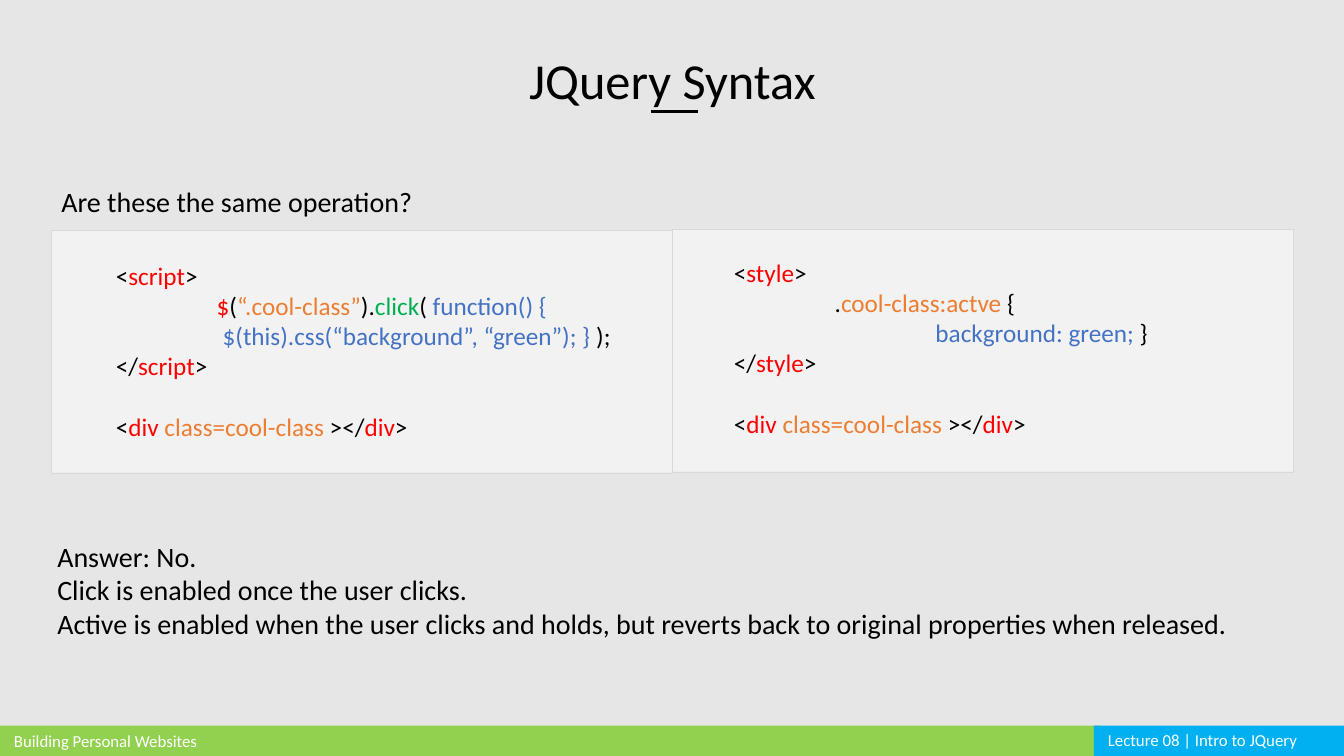
from pptx import Presentation
from pptx.dml.color import RGBColor
from pptx.enum.shapes import MSO_CONNECTOR, MSO_SHAPE
from pptx.enum.text import MSO_ANCHOR, MSO_AUTO_SIZE, PP_ALIGN
from pptx.oxml.ns import qn
from pptx.util import Inches, Pt
from lxml import etree

BACKGROUND = RGBColor(0xE7, 0xE6, 0xE6)
PANEL = RGBColor(0xF2, 0xF2, 0xF2)
PANEL_EDGE = RGBColor(0xD9, 0xD9, 0xD9)
LIME = RGBColor(0x92, 0xD0, 0x50)
SKY = RGBColor(0x00, 0xB0, 0xF0)
WHITE = RGBColor(0xFF, 0xFF, 0xFF)
BLACK = RGBColor(0x00, 0x00, 0x00)
RED = RGBColor(0xFF, 0x00, 0x00)
ORANGE = RGBColor(0xED, 0x7D, 0x31)
GREEN = RGBColor(0x00, 0xB0, 0x50)
BLUE = RGBColor(0x44, 0x72, 0xC4)
FONT = "Calibri"
BLANK_LINE = 22  # points, one line of code

# Each code line: indent in inches, space before in points, coloured runs
DIV_LINE = (0, BLANK_LINE, [("<", BLACK), ("div ", RED), ("class=cool-class ", ORANGE),
                            ("></", BLACK), ("div", RED), (">", BLACK)])


def tag_line(name, opening="<"):
    return 0, 0, [(opening, BLACK), (name, RED), (">", BLACK)]


SCRIPT_CODE = [
    tag_line("script"),
    (1, 0, [("$", RED), ("(", BLACK), ("“.cool-class”", ORANGE), (").", BLACK),
            ("click", GREEN), ("( ", BLACK), ("function() {", BLUE)]),
    (1.06, 0, [("$(this).css(“background”, “green”); } ", BLUE), (");", BLACK)]),
    tag_line("script", "</"),
    DIV_LINE,
]
STYLE_CODE = [
    tag_line("style"),
    (1, 0, [(".", BLACK), ("cool-class:actve ", ORANGE), ("{", BLACK)]),
    (2, 0, [("background: green; ", BLUE), ("}", BLACK)]),
    tag_line("style", "</"),
    DIV_LINE,
]


def set_font(font, size, color):
    font.name, font.size, font.color.rgb = FONT, Pt(size), color


def add_rect(s, x, y, w, h, fill, edge=None):
    sp = s.shapes.add_shape(MSO_SHAPE.RECTANGLE, Inches(x), Inches(y), Inches(w), Inches(h))
    sp.shadow.inherit = False
    sp.fill.solid()
    sp.fill.fore_color.rgb = fill
    if edge is None:
        sp.line.fill.background()
    else:
        sp.line.color.rgb = edge
        sp.line.width = Pt(0.25)


def add_box(s, x, y, w, h):
    tf = s.shapes.add_textbox(Inches(x), Inches(y), Inches(w), Inches(h)).text_frame
    tf.word_wrap = True
    return tf


def add_text(s, x, y, w, h, lines, size, color=BLACK):
    tf = add_box(s, x, y, w, h)
    tf.text = "\n".join(lines)
    for p in tf.paragraphs:
        set_font(p.font, size, color)


def add_title(s, x, y, w, h, text):
    title = s.shapes.title
    title.left, title.top, title.width, title.height = map(Inches, (x, y, w, h))
    tf = title.text_frame
    tf.text = text
    tf.vertical_anchor = MSO_ANCHOR.TOP
    tf.auto_size = MSO_AUTO_SIZE.NONE
    p = tf.paragraphs[0]
    p.alignment = PP_ALIGN.CENTER
    p.line_spacing = 1.5
    set_font(p.font, 36, BLACK)

    rule_x, rule_y = x + 2.48, y + 0.97
    rule = s.shapes.add_connector(MSO_CONNECTOR.STRAIGHT, Inches(rule_x), Inches(rule_y),
                                  Inches(rule_x + 0.46), Inches(rule_y))
    rule.line.color.rgb = BLACK
    rule.line.width = Pt(2.25)
    etree.SubElement(rule._element.spPr, qn("a:effectLst"))


def add_code_panel(s, x, y, w, h, inset_x, inset_y, code):
    add_rect(s, x, y, w, h, PANEL, PANEL_EDGE)
    tf = add_box(s, x + inset_x, y + inset_y, w - inset_x, 1.92)
    for i, (indent, before, runs) in enumerate(code):
        p = tf.add_paragraph() if i else tf.paragraphs[0]
        p.space_before = Pt(before)
        p._p.get_or_add_pPr().set("marL", str(Inches(indent)))
        for text, color in runs:
            r = p.add_run()
            r.text = text
            set_font(r.font, 18, color)


def add_footer_band(s, x, y, w, h, text, fill, text_y):
    add_rect(s, x, y, w, h, fill)
    add_text(s, x + 0.04, text_y, w - 0.04, h, [text], 12, WHITE)


def build_comparison_slide(prs):
    s = prs.slides.add_slide(prs.slide_layouts[5])
    s.background.fill.solid()
    s.background.fill.fore_color.rgb = BACKGROUND
    add_footer_band(s, 0, 7.2, 10.91, 0.3, "Building Personal Websites", LIME, 7.2)
    add_footer_band(s, 10.85, 7.2, 2.48, 0.3, "Lecture 08 | Intro to JQuery", SKY, 7.19)
    add_title(s, 3.98, 0.14, 5.38, 0.92, "JQuery Syntax")
    add_text(s, 0.51, 1.78, 11.9, 0.44, ["Are these the same operation?"], 20)
    add_code_panel(s, 0.51, 2.28, 6.16, 2.41, 0.54, 0.25, SCRIPT_CODE)
    add_code_panel(s, 6.67, 2.27, 6.16, 2.41, 0.51, 0.23, STYLE_CODE)
    add_text(s, 0.47, 5.3, 11.9, 1.11, [
        "Answer: No.",
        "Click is enabled once the user clicks.",
        "Active is enabled when the user clicks and holds, "
        "but reverts back to original properties when released.",
    ], 20)


def main():
    prs = Presentation()
    prs.slide_width, prs.slide_height = Inches(13.33), Inches(7.5)
    build_comparison_slide(prs)
    prs.save("out.pptx")


if __name__ == "__main__":
    main()
